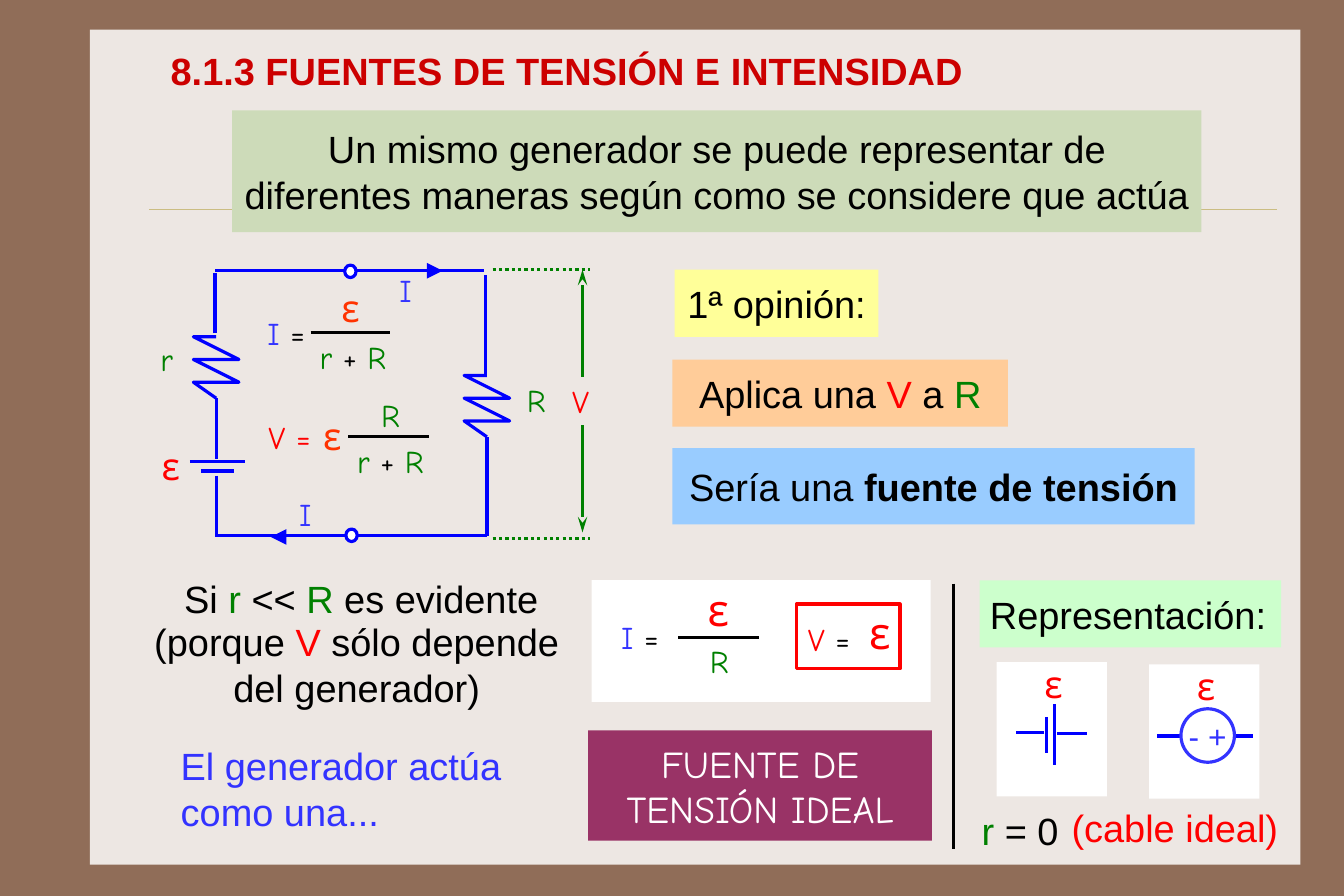
from lxml import etree
from pptx import Presentation
from pptx.dml.color import RGBColor
from pptx.enum.dml import MSO_LINE
from pptx.enum.shapes import MSO_CONNECTOR, MSO_SHAPE
from pptx.enum.text import MSO_ANCHOR, PP_ALIGN
from pptx.oxml.ns import qn
from pptx.util import Pt

RECT, OVAL = MSO_SHAPE.RECTANGLE, MSO_SHAPE.OVAL
STRAIGHT, DOTS = MSO_CONNECTOR.STRAIGHT, MSO_LINE.ROUND_DOT
MIDDLE, TOP = MSO_ANCHOR.MIDDLE, MSO_ANCHOR.TOP
LEFT, CENTER = PP_ALIGN.LEFT, PP_ALIGN.CENTER

BLACK = RGBColor(0x00, 0x00, 0x00)
WHITE = RGBColor(0xFF, 0xFF, 0xFF)
RED = RGBColor(0xFF, 0x00, 0x00)
CRIMSON = RGBColor(0xCC, 0x00, 0x00)
ORANGE = RGBColor(0xFF, 0x33, 0x00)
GREEN = RGBColor(0x00, 0x80, 0x00)
BLUE = RGBColor(0x00, 0x00, 0xFF)
INDIGO = RGBColor(0x33, 0x33, 0xFF)
BROWN = RGBColor(0x90, 0x6D, 0x58)
CREAM = RGBColor(0xED, 0xE7, 0xE3)
KHAKI = RGBColor(0xCB, 0xBD, 0x83)
SAGE = RGBColor(0xCD, 0xDB, 0xB9)
YELLOW = RGBColor(0xFF, 0xFF, 0x99)
PEACH = RGBColor(0xFF, 0xCC, 0x99)
SKY = RGBColor(0x99, 0xCC, 0xFF)
MINT = RGBColor(0xCC, 0xFF, 0xCC)
PLUM = RGBColor(0x99, 0x33, 0x66)

SCALE = 9144
WIDTH, HEIGHT = Pt(850.5), Pt(567)
SANS, HAND = "Arial", "Comic Neue"

PANELS = [
    ((520, 510, 298, 107), WHITE),
    ((876, 582, 97, 118), WHITE),
    ((1010, 584, 97, 118), WHITE),
]
CARDS = [
    ((204, 97, 852, 107), SAGE, CENTER,
     [("Un mismo generador se puede representar de diferentes maneras "
       "según como se considere que actúa", BLACK)]),
    ((593, 237, 179, 59), YELLOW, CENTER, [("1ª opinión:", BLACK)]),
    ((591, 316, 295, 59), PEACH, CENTER,
     [("Aplica una ", BLACK), ("V", RED), (" a ", BLACK), ("R", GREEN)]),
    ((591, 394, 459, 67), SKY, CENTER,
     [("Sería una ", BLACK), ("fuente de tensión", BLACK, True)]),
    ((861, 510, 265, 59), MINT, LEFT, [("Representación:", BLACK)]),
]
NOTES = [
    ((139, 37, 958, 51), 11, 5, LEFT, [[("8.1.3 FUENTES DE TENSIÓN E INTENSIDAD", CRIMSON, True)]]),
    ((126, 502, 383, 49), 8, 4, CENTER,
     [[("Si ", BLACK), ("r ", GREEN), ("<< ", BLACK), ("R", GREEN), (" es evidente", BLACK)]]),
    ((122, 540, 383, 90), 8, 4, CENTER,
     [[("(porque ", BLACK), ("V", RED), (" sólo depende", BLACK)],
      [("del generador)", BLACK)]]),
    ((149, 644, 306, 99), 10, 9, LEFT, [[("El generador actúa como una...", INDIGO)]]),
    ((853, 701, 90, 51), 10, 9, LEFT, [[("r", GREEN), (" = 0", BLACK)]]),
    ((932, 702, 204, 50), 10, 5, LEFT, [[("(cable ideal)", RED)]]),
]
RATIO = [("I ", INDIGO), ("=", BLACK)]
SUM = [("r ", GREEN), ("+ ", BLACK), ("R", GREEN)]
LOAD = [("R", GREEN)]
SYMBOLS = [
    ((455, 331, 32, 39), 20, LOAD),
    ((133, 295, 29, 39), 20, [("r", GREEN)]),
    ((134, 385, 29, 42), 24, [("ε", RED)]),
    ((343, 234, 34, 40), 20, [("I", INDIGO)]),
    ((255, 431, 34, 40), 20, [("I", INDIGO)]),
    ((227, 272, 58, 39), 20, RATIO),
    ((273, 293, 84, 39), 20, SUM),
    ((292, 246, 29, 42), 24, [("ε", ORANGE)]),
    ((228, 363, 61, 39), 20, [("V =", RED)]),
    ((306, 384, 84, 39), 20, SUM),
    ((276, 359, 29, 42), 24, [("ε", ORANGE)]),
    ((327, 344, 35, 40), 20, LOAD),
    ((495, 332, 33, 39), 20, [("V", RED)]),
    ((538, 539, 63, 43), 20, RATIO),
    ((616, 560, 35, 43), 20, LOAD),
    ((614, 508, 34, 56), 28, [("ε", RED)]),
    ((702, 541, 61, 43), 20, [("V ", RED), ("=", BLACK)]),
    ((756, 528, 34, 56), 28, [("ε", RED)]),
    ((910, 577, 29, 42), 24, [("ε", RED)]),
    ((1044, 578, 29, 42), 24, [("ε", RED)]),
]
WIRES = [
    (189, 238, 307, 238), (307, 238, 425, 238),
    (189, 471, 307, 471), (310, 471, 428, 471),
    (428, 471, 428, 384), (427, 329, 427, 242),
    (167, 406, 215, 406), (177, 414, 206, 414),
    (190, 403, 190, 350), (190, 418, 190, 471), (189, 293, 189, 240),
    (927, 619, 927, 672), (920, 630, 920, 662),
    (929, 645, 955, 645), (918, 644, 893, 644),
    (1101, 647, 1017, 647),
]
BARS = [(273, 292, 343, 292), (306, 384, 377, 384), (596, 560, 667, 560), (838, 513, 838, 746)]
LIMITS = [(433, 237, 519, 237), (433, 473, 519, 473)]
SPANS = [(512, 331, 512, 237), (512, 374, 512, 468)]
FLOWS = [(380, 238, 389, 238), (244, 472, 238, 472)]
ZIGZAG = [(-20, -14), (20, -14), (-20, -34), (20, -34), (-20, -54), (0, -54)]
COILS = [(428, 384), (190, 350)]
NODES = [(303, 233, 10, 11), (304, 465, 10, 11)]

deck = Presentation()
deck.slide_width, deck.slide_height = WIDTH, HEIGHT
slide = deck.slides.add_slide(deck.slide_layouts[6])
slide.background.fill.solid()
slide.background.fill.fore_color.rgb = BROWN
shapes = slide.shapes


def emu(box):
    return [n * SCALE for n in box]


def paint(shape, fill=None, edge=None):
    shape.shadow.inherit = False
    if fill is None:
        shape.fill.background()
    else:
        shape.fill.solid()
        shape.fill.fore_color.rgb = fill
    if edge is None:
        shape.line.fill.background()
    else:
        shape.line.color.rgb = edge
        shape.line.width = Pt(2)
    return shape


def block(box, fill=None, edge=None, kind=RECT):
    return paint(shapes.add_shape(kind, *emu(box)), fill, edge)


def write(shape, rows, size=24, font=SANS, align=LEFT, anchor=TOP, pad=(8, 4), wrap=True):
    frame = shape.text_frame
    frame.word_wrap = wrap
    frame.vertical_anchor = anchor
    frame.margin_left = frame.margin_right = pad[0] * SCALE
    frame.margin_top = frame.margin_bottom = pad[1] * SCALE
    for at, row in enumerate(rows):
        para = frame.add_paragraph() if at else frame.paragraphs[0]
        para.alignment = align
        for text, color, *bold in row:
            run = para.add_run()
            run.text = text
            run.font.name = font
            run.font.size = Pt(size)
            run.font.color.rgb = color
            run.font.bold = bool(bold)


def wire(ends, color, width=2, dash=None, head=None, girth="lg"):
    line = shapes.add_connector(STRAIGHT, *emu(ends))
    line.line.color.rgb = color
    line.line.width = Pt(width)
    props = line._element.spPr
    if dash:
        line.line.dash_style = dash
    if head:
        etree.SubElement(props.find(qn("a:ln")), qn("a:tailEnd"), type=head, w=girth, len="lg")
    etree.SubElement(props, qn("a:effectLst"))


block((79, 26, 1064, 734), CREAM)
wire((131, 184, 1122, 184), KHAKI, width=0.25)
for box, fill in PANELS:
    block(box, fill)
for ends in WIRES:
    wire(ends, BLUE)
for ends in BARS:
    wire(ends, BLACK)
for ends in LIMITS:
    wire(ends, GREEN, dash=DOTS)
for ends in SPANS:
    wire(ends, GREEN, head="stealth", girth="med")
for ends in FLOWS:
    wire(ends, BLUE, width=1, head="triangle")
for x, y in COILS:
    coil = shapes.build_freeform(x, y, scale=SCALE)
    coil.add_line_segments([(x + dx, y + dy) for dx, dy in ZIGZAG], close=False)
    paint(coil.convert_to_shape(), edge=BLUE)
for box in NODES:
    block(box, WHITE, BLUE, OVAL)
block((700, 531, 91, 57), edge=RED)

for box, fill, align, row in CARDS:
    write(block(box, fill), [row], align=align, anchor=MIDDLE, pad=(9, 5))
write(block((517, 642, 302, 97), PLUM), [[("FUENTE DE TENSIÓN IDEAL", WHITE)]],
      font=HAND, align=CENTER, anchor=MIDDLE)
write(block((1038, 623, 47, 47), WHITE, INDIGO, OVAL), [[("- +", INDIGO)]],
      size=20, align=CENTER, anchor=MIDDLE, pad=(0, 0), wrap=False)
for box, side, top, align, rows in NOTES:
    write(shapes.add_textbox(*emu(box)), rows, align=align, pad=(side, top))
for box, size, row in SYMBOLS:
    write(shapes.add_textbox(*emu(box)), [row], size=size, font=HAND, wrap=False)

deck.save("out.pptx")
